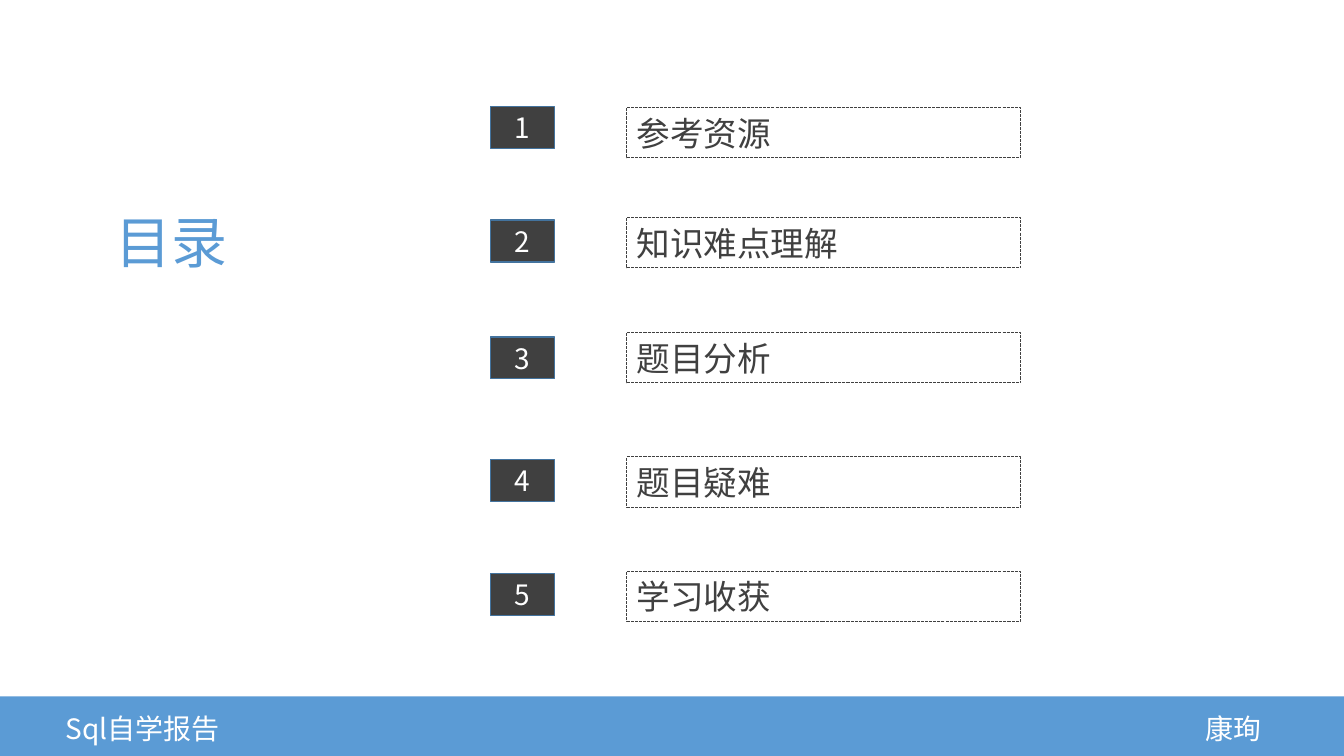
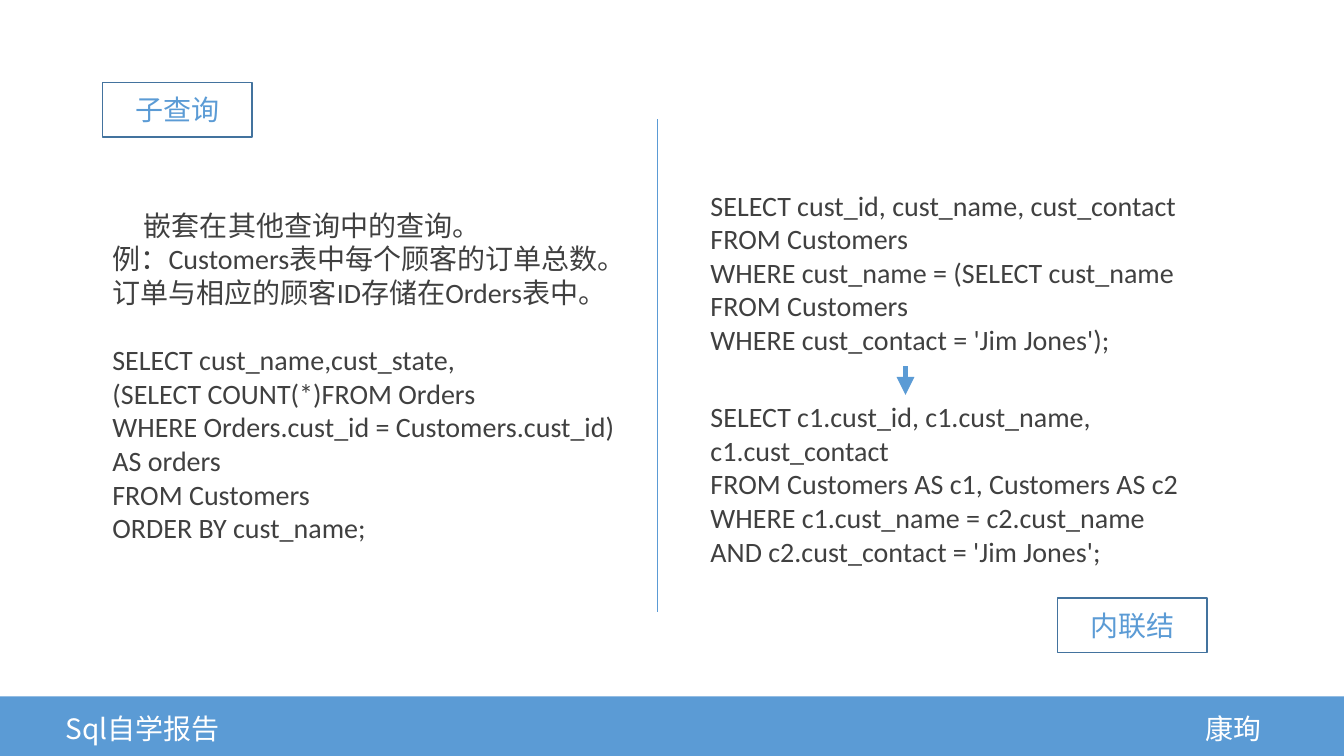
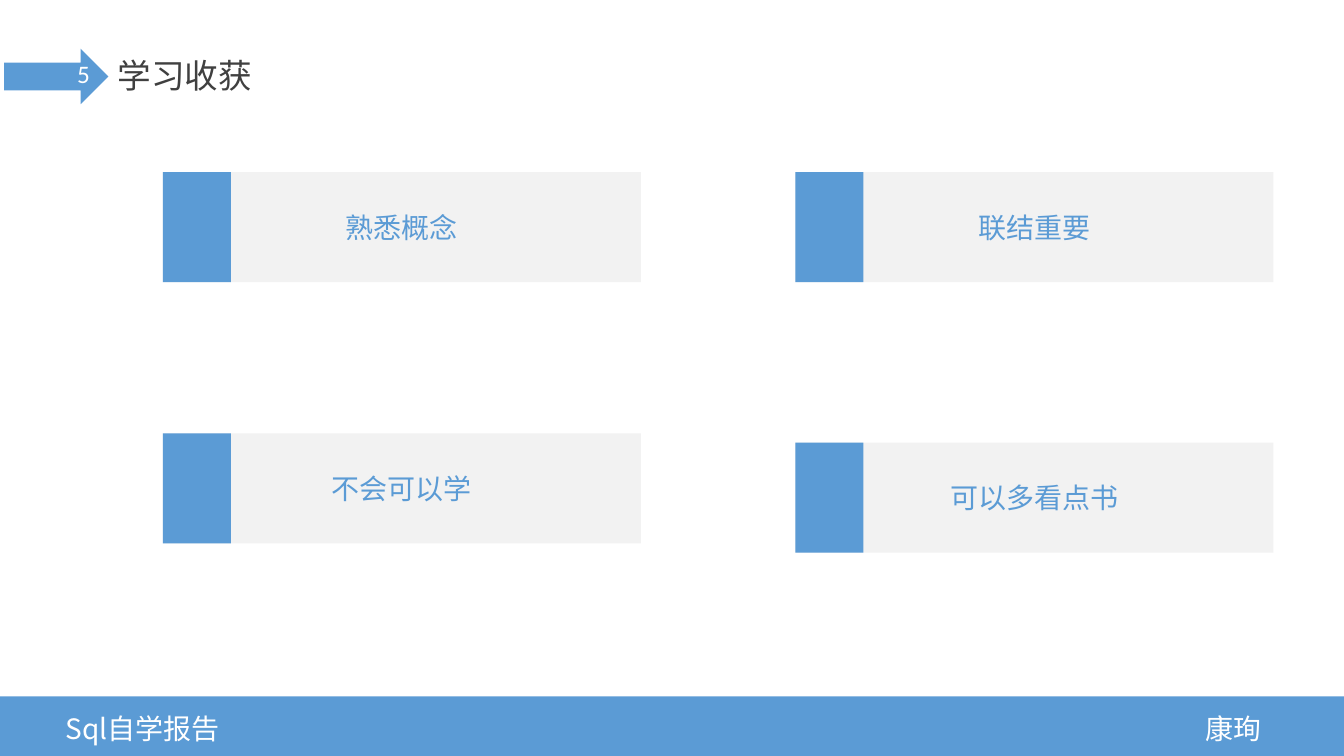
from dataclasses import dataclass

from lxml.etree import SubElement
from pptx import Presentation
from pptx.dml.color import RGBColor
from pptx.enum.dml import MSO_LINE
from pptx.enum.shapes import MSO_CONNECTOR, MSO_SHAPE
from pptx.enum.text import MSO_ANCHOR, MSO_AUTO_SIZE, PP_ALIGN
from pptx.oxml.ns import qn
from pptx.util import Inches, Pt


@dataclass(frozen=True)
class Theme:
    # Colours
    accent: str = "5B9BD5"
    outline: str = "43739E"
    dark: str = "404040"
    pale: str = "F2F2F2"
    white: str = "FFFFFF"
    # Fonts and type sizes in points
    chinese_font: str = "Noto Sans CJK SC"
    code_font: str = "Calibri"
    title_size: int = 40
    heading_size: int = 24
    body_size: int = 20
    marker_size: int = 18
    blank_line: int = 24


class Deck:
    """Draws on a grid of 160 columns by 90 rows of square cells."""

    COLUMNS, ROWS = 160, 90

    def __init__(self, theme):
        self.theme = theme
        self.presentation = Presentation()
        self.presentation.slide_width = Inches(self.COLUMNS / 12)
        self.presentation.slide_height = Inches(self.ROWS / 12)
        self.slide = None

    def cells(self, *counts):
        return [round(self.presentation.slide_width * count / self.COLUMNS) for count in counts]

    def new_slide(self):
        self.slide = self.presentation.slides.add_slide(self.presentation.slide_layouts[6])
        self.footer()

    # Text
    def fill_text(self, shape, text, size, color, font=None, align=PP_ALIGN.LEFT):
        text_frame = shape.text_frame
        text_frame.text = text
        for paragraph in text_frame.paragraphs:
            paragraph.alignment = align
            for run in paragraph.runs:
                run.font.size = Pt(size)
                run.font.color.rgb = RGBColor.from_string(color)
                run.font.name = font or self.theme.chinese_font
                east_asian = SubElement(run.font._element, qn("a:ea"))
                east_asian.set("typeface", self.theme.chinese_font)

    def text(self, box, text, size, color, font=None, wrap=True):
        shape = self.slide.shapes.add_textbox(*self.cells(*box))
        self.fill_text(shape, text, size, color, font)
        shape.text_frame.word_wrap = wrap
        shape.text_frame.auto_size = MSO_AUTO_SIZE.SHAPE_TO_FIT_TEXT
        return shape

    def code(self, box, lines):
        shape = self.text(box, "\n".join(lines), self.theme.body_size,
                          self.theme.dark, self.theme.code_font)
        return shape.text_frame.paragraphs

    # Shapes
    def block(self, box, fill=None, line=None, width=1, kind=MSO_SHAPE.RECTANGLE):
        shape = self.slide.shapes.add_shape(kind, *self.cells(*box))
        shape.shadow.inherit = False
        if fill:
            shape.fill.solid()
            shape.fill.fore_color.rgb = RGBColor.from_string(fill)
        else:
            shape.fill.background()
        if line:
            shape.line.color.rgb = RGBColor.from_string(line)
            shape.line.width = Pt(width)
        else:
            shape.line.fill.background()
        return shape

    def centred_block(self, box, text, color, fill=None, line=None):
        shape = self.block(box, fill, line)
        shape.text_frame.vertical_anchor = MSO_ANCHOR.MIDDLE
        self.fill_text(shape, text, self.theme.body_size, color, align=PP_ALIGN.CENTER)

    def dashed_label(self, box, text):
        shape = self.block(box, line=self.theme.dark, width=0.75)
        shape.line.dash_style = MSO_LINE.SQUARE_DOT
        self.fill_text(shape, text, self.theme.heading_size, self.theme.dark)
        shape.text_frame.vertical_anchor = MSO_ANCHOR.TOP
        shape.text_frame.auto_size = MSO_AUTO_SIZE.SHAPE_TO_FIT_TEXT

    def tag(self, left, top, text):
        self.centred_block((left, top, 17.8, 6.5), text, self.theme.accent,
                           line=self.theme.outline)

    def card(self, left, top, text):
        self.centred_block((left, top, 56.9, 13.1), text, self.theme.accent, self.theme.pale)
        self.block((left, top, 8.1, 13.1), self.theme.accent)

    def vertical_line(self, column, top, bottom, width, arrow=False):
        line = self.slide.shapes.add_connector(
            MSO_CONNECTOR.STRAIGHT, *self.cells(column, top, column, bottom))
        line.line.color.rgb = RGBColor.from_string(self.theme.accent)
        line.line.width = Pt(width)
        properties = line._element.spPr
        if arrow:
            SubElement(properties.get_or_add_ln(), qn("a:tailEnd")).set("type", "triangle")
        SubElement(properties, qn("a:effectLst"))

    # Shared parts
    def footer(self):
        band_top = 82.9
        self.block((0, band_top, self.COLUMNS, self.ROWS - band_top), self.theme.accent)
        for left, width, text in ((6.6, 23.3, "Sql自学报告"), (142.3, 11.2, "康珣")):
            self.text((left, 84.1, width, 5.3), text, self.theme.body_size, self.theme.white)

    def section_heading(self, number, title):
        self.block((0.5, 5.8, 12.4, 6.6), self.theme.accent, kind=MSO_SHAPE.RIGHT_ARROW)
        self.text((12.8, 6, 18.6, 6), title, self.theme.heading_size, self.theme.dark, wrap=False)
        self.text((8, 6.4, 9.5, 4.8), number, self.theme.marker_size,
                  self.theme.white, self.theme.code_font)


theme = Theme()
deck = Deck(theme)

# Contents
deck.new_slide()
deck.text((12.6, 24.1, 19.6, 9.2), "目录", theme.title_size, theme.accent)
topics = (
    (12.7, 12.8, "参考资源"),
    (26.2, 25.9, "知识难点理解"),
    (40.1, 39.6, "题目分析"),
    (54.7, 54.4, "题目疑难"),
    (68.3, 68, "学习收获"),
)
for number, (number_top, label_top, topic) in enumerate(topics, start=1):
    deck.centred_block((58.4, number_top, 7.6, 5), str(number), theme.white,
                       theme.dark, theme.outline)
    deck.dashed_label((74.6, label_top, 46.9, 6), topic)

# Subqueries and inner joins
deck.new_slide()
deck.tag(12.2, 9.8, "子查询")
deck.tag(125.9, 71.2, "内联结")
paragraphs = deck.code((12.2, 24.2, 64.4, 41.6), (
    "嵌套在其他查询中的查询。",
    "例：Customers表中每个顾客的订单总数。订单与相应的顾客ID存储在Orders表中。",
    "SELECT cust_name,cust_state,",
    "(SELECT COUNT(*)FROM Orders",
    "WHERE Orders.cust_id = Customers.cust_id) AS orders",
    "FROM Customers",
    "ORDER BY cust_name;",
))
definition, query_start = paragraphs[0], paragraphs[2]
definition._p.get_or_add_pPr().set("indent", str(deck.cells(3.75)[0]))
query_start.space_before = Pt(theme.blank_line)
deck.code((83.4, 21.8, 64.4, 21.4), (
    "SELECT cust_id, cust_name, cust_contact",
    "FROM Customers",
    "WHERE cust_name = (SELECT cust_name",
    "FROM Customers",
    "WHERE cust_contact = 'Jim Jones');",
))
deck.code((83.4, 47, 64.4, 21.4), (
    "SELECT c1.cust_id, c1.cust_name, c1.cust_contact",
    "FROM Customers AS c1, Customers AS c2",
    "WHERE c1.cust_name = c2.cust_name",
    "AND c2.cust_contact = 'Jim Jones';",
))
deck.vertical_line(107.8, 43.6, 47, 4.25, arrow=True)
deck.vertical_line(78.2, 14.2, 72.8, 0.5)

# Lessons learned
deck.new_slide()
deck.section_heading("5", "学习收获")
lessons = (
    (19.4, ((20.5, "熟悉概念"), (51.6, "不会可以学"))),
    (94.7, ((20.5, "联结重要"), (52.7, "可以多看点书"))),
)
for left, column in lessons:
    for top, lesson in column:
        deck.card(left, top, lesson)

deck.presentation.save("out.pptx")
